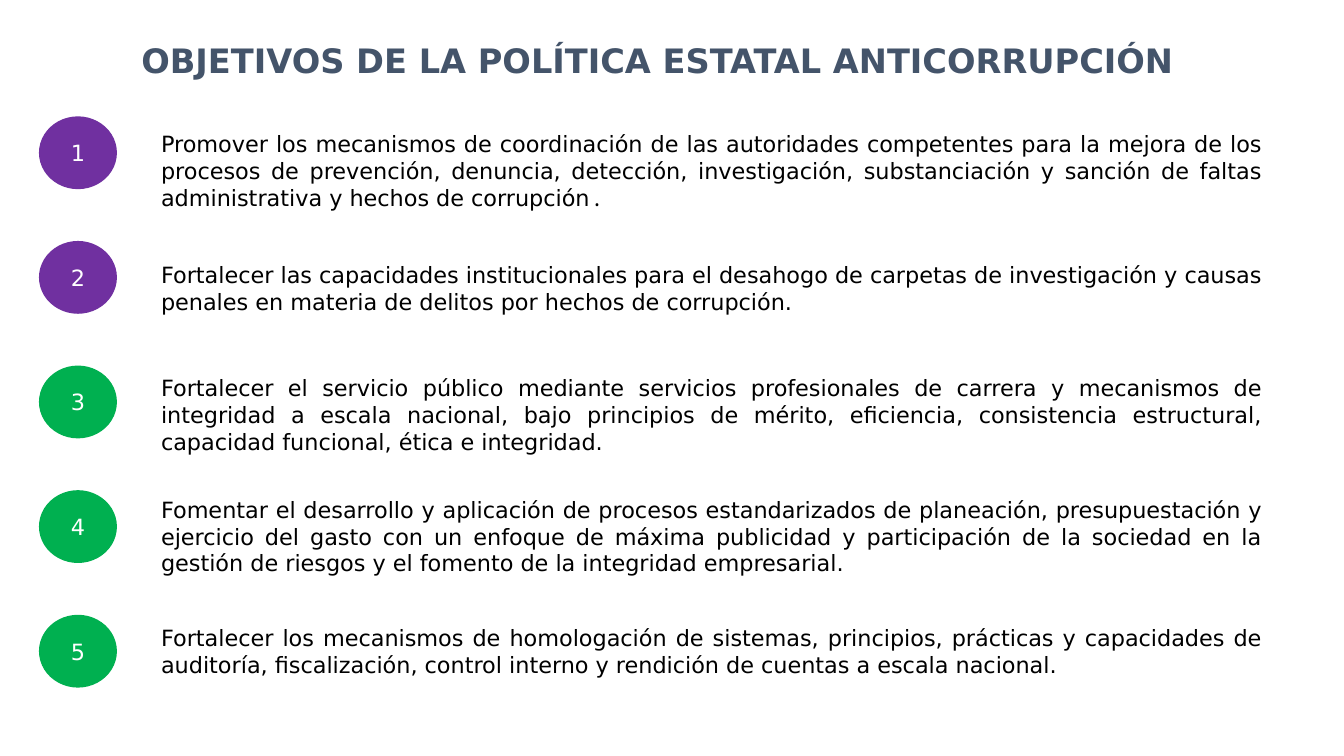
"""Build the slide listing the five objectives of the state anti-corruption policy."""
from dataclasses import dataclass

from pptx import Presentation
from pptx.dml.color import RGBColor
from pptx.enum.shapes import MSO_SHAPE
from pptx.enum.text import MSO_ANCHOR, MSO_AUTO_SIZE, PP_ALIGN
from pptx.slide import Slide
from pptx.text.text import TextFrame, _Paragraph, _Run
from pptx.util import Cm, Pt

CONNECTOR_DOT = MSO_SHAPE.FLOWCHART_CONNECTOR
TOP, MIDDLE = MSO_ANCHOR.TOP, MSO_ANCHOR.MIDDLE
NO_AUTOFIT, GROW = MSO_AUTO_SIZE.NONE, MSO_AUTO_SIZE.SHAPE_TO_FIT_TEXT
CENTER, JUSTIFY = PP_ALIGN.CENTER, PP_ALIGN.JUSTIFY
TITLE_ONLY = 5

COLORS = {
    "title": "44546A",
    "purple": "7030A0",
    "green": "00B050",
    "number": "FFFFFF",
    "text": "000000",
}
SANS, MONO = "DejaVu Sans", "Noto Sans Mono"
TITLE_FONT = {"name": SANS, "size": Pt(24), "bold": True}
BODY_FONT = {"name": SANS, "size": Pt(16), "bold": False}
STOP_FONT = {**BODY_FONT, "name": MONO}
TITLE_FRAME = {"word_wrap": True, "vertical_anchor": TOP, "auto_size": NO_AUTOFIT}
NUMBER_FRAME = {"word_wrap": True, "vertical_anchor": MIDDLE}
OBJECTIVE_FRAME = {"word_wrap": True, "vertical_anchor": TOP, "auto_size": GROW}

NUMBER_LEFT, NUMBER_TOP, NUMBER_PITCH = 1.0, 2.95, 3.14
NUMBER_WIDTH, NUMBER_HEIGHT = 1.93, 1.8
OBJECTIVE_LEFT, OBJECTIVE_WIDTH = 3.81, 28.27
LINE_HEIGHT, FRAME_PADDING = 0.68, 0.26


@dataclass(frozen=True)
class Objective:
    """One numbered objective with its place in centimetres."""

    color: str
    top: float
    lines: int
    wording: str
    mono_stop: str = ""


OBJECTIVES = [
    Objective("purple", 3.15, 3,
              "Promover los mecanismos de coordinación de las autoridades competentes "
              "para la mejora de los procesos de prevención, denuncia, detección, "
              "investigación, substanciación y sanción de faltas administrativa y "
              "hechos de corrupción", "."),
    Objective("purple", 6.45, 2,
              "Fortalecer las capacidades institucionales para el desahogo de carpetas "
              "de investigación y causas penales en materia de delitos por hechos de "
              "corrupción."),
    Objective("green", 9.3, 3,
              "Fortalecer el servicio público mediante servicios profesionales de "
              "carrera y mecanismos de integridad a escala nacional, bajo principios de "
              "mérito, eficiencia, consistencia estructural, capacidad funcional, ética "
              "e integridad."),
    Objective("green", 12.37, 3,
              "Fomentar el desarrollo y aplicación de procesos estandarizados de "
              "planeación, presupuestación y ejercicio del gasto con un enfoque de "
              "máxima publicidad y participación de la sociedad en la gestión de riesgos "
              "y el fomento de la integridad empresarial."),
    Objective("green", 15.6, 2,
              "Fortalecer los mecanismos de homologación de sistemas, principios, "
              "prácticas y capacidades de auditoría, fiscalización, control interno y "
              "rendición de cuentas a escala nacional."),
]


def rgb(color: str) -> RGBColor:
    """Return the named colour."""
    return RGBColor.from_string(COLORS[color])


def apply_format(target: object, values: dict) -> None:
    """Set each attribute of the target from the format values."""
    for attribute, value in values.items():
        setattr(target, attribute, value)


def add_wording(paragraph: _Paragraph, wording: str, font: dict, color: str) -> _Run:
    """Append a formatted run to the paragraph."""
    run = paragraph.add_run()
    run.text = wording
    apply_format(run.font, font)
    run.font.color.rgb = rgb(color)
    return run


def write(frame: TextFrame, layout: dict, alignment: PP_ALIGN,
          wording: str, font: dict, color: str) -> _Paragraph:
    """Format the frame and fill its first paragraph."""
    apply_format(frame, layout)
    paragraph = frame.paragraphs[0]
    paragraph.alignment = alignment
    add_wording(paragraph, wording, font, color)
    return paragraph


def draw_title(slide: Slide) -> None:
    """Place and fill the title placeholder."""
    title = slide.shapes.title
    apply_format(title, {"left": Cm(1.07), "top": Cm(0.89),
                         "width": Cm(30.99), "height": Cm(1.27)})
    write(title.text_frame, TITLE_FRAME, CENTER,
          "OBJETIVOS DE LA POLÍTICA ESTATAL ANTICORRUPCIÓN", TITLE_FONT, "title")


def draw_number(slide: Slide, position: int, objective: Objective) -> None:
    """Draw the coloured circle that numbers an objective."""
    circle = slide.shapes.add_shape(
        CONNECTOR_DOT, Cm(NUMBER_LEFT), Cm(NUMBER_TOP + position * NUMBER_PITCH),
        Cm(NUMBER_WIDTH), Cm(NUMBER_HEIGHT))
    circle.shadow.inherit = False
    circle.fill.solid()
    circle.fill.fore_color.rgb = rgb(objective.color)
    circle.line.color.rgb = rgb(objective.color)
    circle.line.width = Pt(1)
    write(circle.text_frame, NUMBER_FRAME, CENTER, str(position + 1), BODY_FONT, "number")


def draw_objective(slide: Slide, objective: Objective) -> None:
    """Write the wording of an objective."""
    box = slide.shapes.add_textbox(
        Cm(OBJECTIVE_LEFT), Cm(objective.top), Cm(OBJECTIVE_WIDTH),
        Cm(objective.lines * LINE_HEIGHT + FRAME_PADDING))
    paragraph = write(box.text_frame, OBJECTIVE_FRAME, JUSTIFY,
                      objective.wording, BODY_FONT, "text")
    if objective.mono_stop:
        add_wording(paragraph, objective.mono_stop, STOP_FONT, "text")


def main() -> None:
    """Build and save the presentation."""
    presentation = Presentation()
    presentation.slide_width, presentation.slide_height = Cm(33.87), Cm(19.05)
    slide = presentation.slides.add_slide(presentation.slide_layouts[TITLE_ONLY])
    draw_title(slide)
    for position, objective in enumerate(OBJECTIVES):
        draw_number(slide, position, objective)
    for objective in OBJECTIVES:
        draw_objective(slide, objective)
    presentation.save("out.pptx")


if __name__ == "__main__":
    main()
